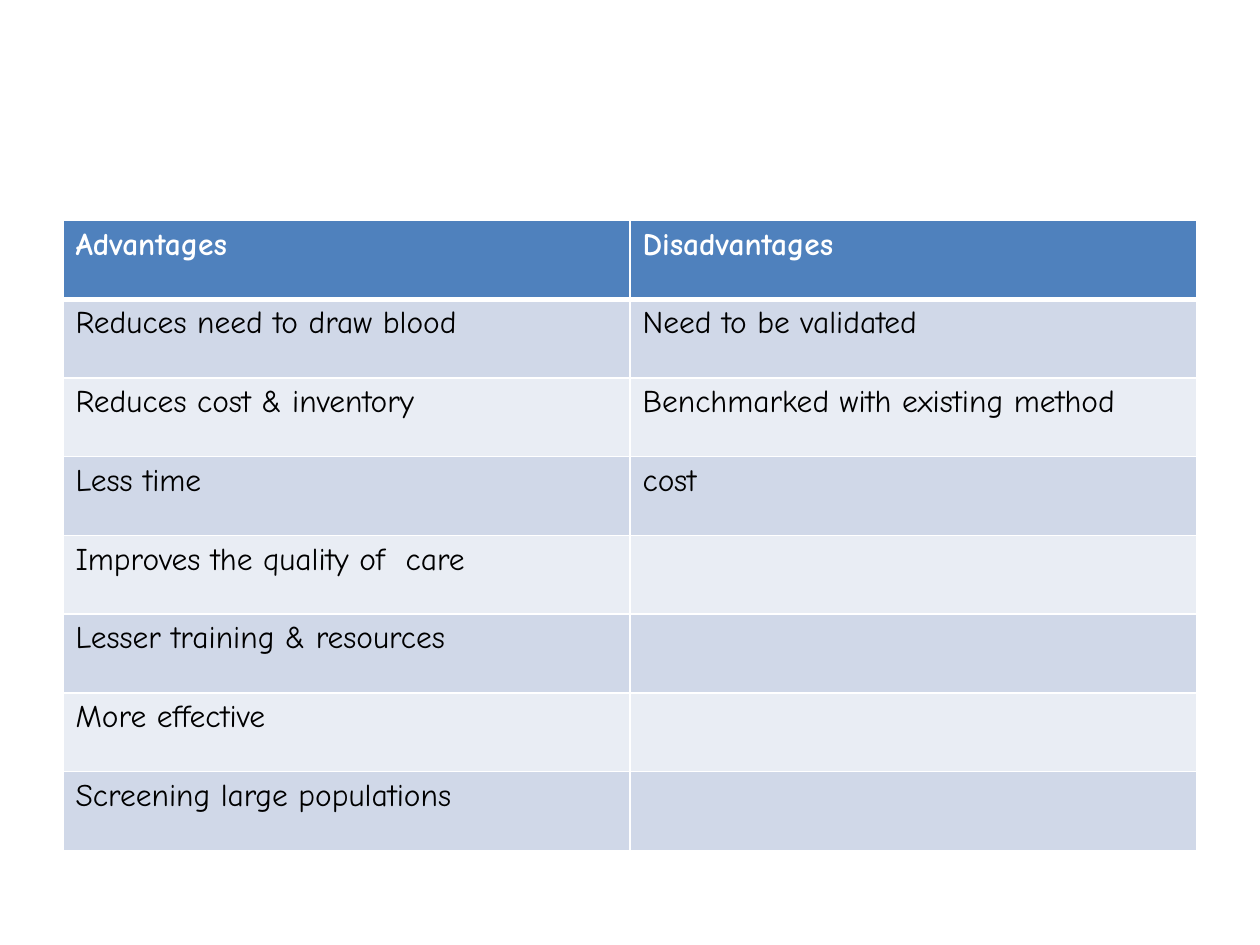
from lxml.etree import SubElement
from pptx import Presentation
from pptx.dml.color import RGBColor
from pptx.oxml.ns import qn
from pptx.util import Inches, Pt

FONT = "Comic Neue"
ROWS = [
    ("Advantages", "Disadvantages"),
    ("Reduces need to draw blood", "Need to be validated"),
    ("Reduces cost & inventory", "Benchmarked with existing method"),
    ("Less time", "cost"),
    ("Improves the quality of  care", ""),
    ("Lesser training & resources", ""),
    ("More effective", ""),
    ("Screening large populations", ""),
]


def rgb(value):
    return RGBColor.from_string(value)


def add_border(cell, side, width, color):
    ln = SubElement(cell._tc.get_or_add_tcPr(), qn(f"a:ln{side}"), w=str(Pt(width)))
    fill = SubElement(ln, qn("a:solidFill"))
    SubElement(fill, qn("a:srgbClr"), val=color)


prs = Presentation()
prs.slide_width, prs.slide_height = Inches(10), Inches(7.5)
W, H = prs.slide_width, prs.slide_height
s = prs.slides.add_slide(prs.slide_layouts[6])

table = s.shapes.add_table(
    len(ROWS), 2, int(W * 0.05), Inches(1.75), int(W * 0.9), int(H * 2 / 3)
).table

for i, texts in enumerate(ROWS):
    header = i == 0
    fill = "4F81BD" if header else ("E9EDF4", "D0D8E8")[i % 2]
    widths = {"L": 1, "R": 1, "T": 3 if i == 1 else 1, "B": 3 if header else 1}
    for j, text in enumerate(texts):
        cell = table.cell(i, j)
        # Borders come before the fill in the cell properties
        for side, width in widths.items():
            add_border(cell, side, width, "FFFFFF")
        cell.fill.solid()
        cell.fill.fore_color.rgb = rgb(fill)
        p = cell.text_frame.paragraphs[0]
        p.font.size = Pt(18)
        if text:
            r = p.add_run()
            r.text = text
            r.font.name = FONT
            r.font.size = Pt(18)
            r.font.bold = header
            r.font.color.rgb = rgb("FFFFFF" if header else "000000")

prs.save("out.pptx")
